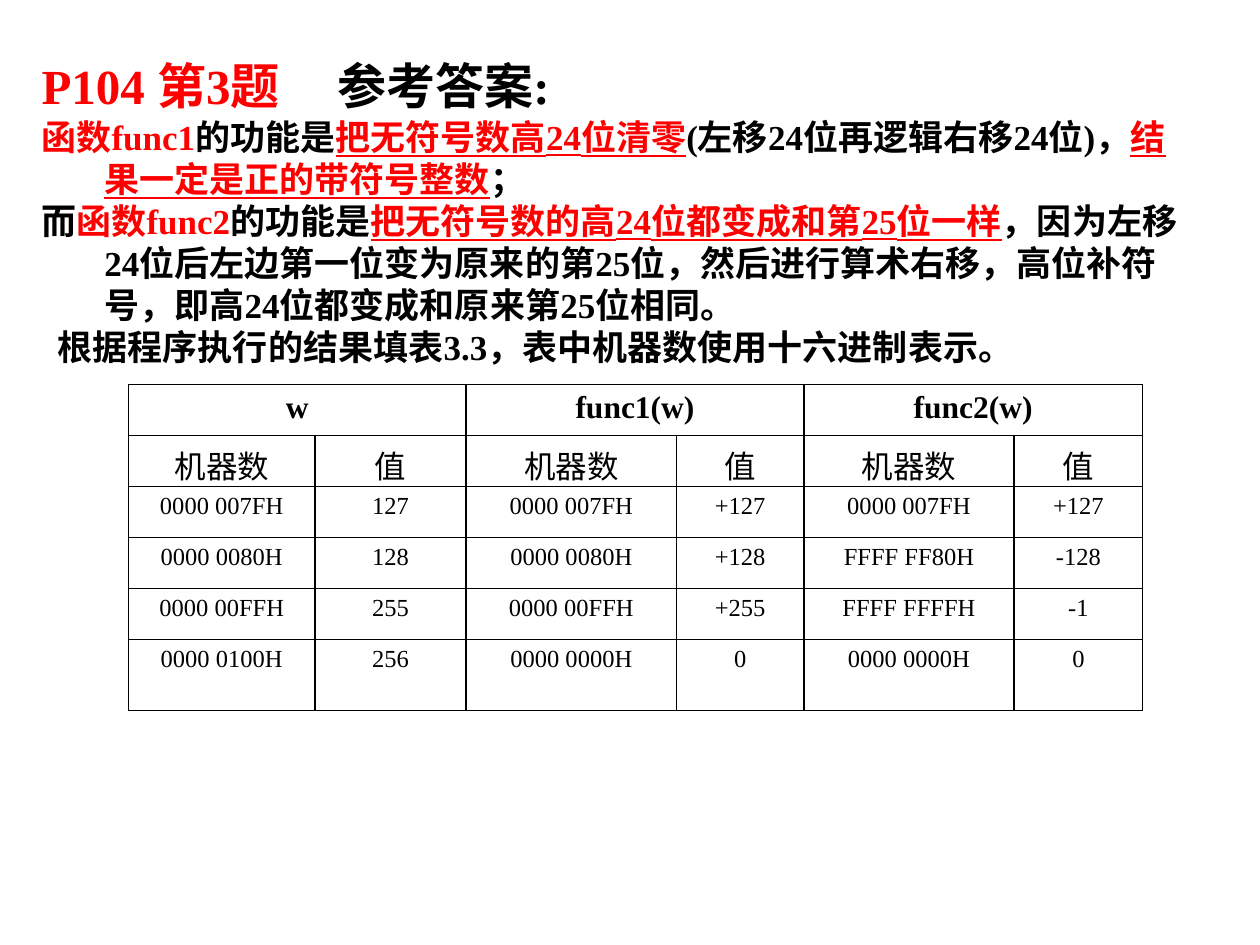
from lxml.etree import SubElement
from pptx import Presentation
from pptx.dml.color import RGBColor
from pptx.enum.text import MSO_ANCHOR, PP_ALIGN
from pptx.oxml.ns import qn
from pptx.util import Inches, Pt

FONT = "Times New Roman"
RED, BLACK = "FF0000", "000000"

# Each run is (text, colour, underlined); each paragraph adds its first-line indent.
TITLE = [("P104 第3题", RED, False), ("\t参考答案:", BLACK, False)]
EXPLANATION = [
    (-5, [("函数func1", RED, False), ("的功能是", BLACK, False),
          ("把无符号数高24位清零", RED, True),
          ("(左移24位再逻辑右移24位)，", BLACK, False),
          ("结果一定是正的带符号整数", RED, True), ("；", BLACK, False)]),
    (-5, [("而", BLACK, False), ("函数func2", RED, False), ("的功能是", BLACK, False),
          ("把无符号数的高24位都变成和第25位一样", RED, True),
          ("，因为左移24位后左边第一位变为原来的第25位，然后进行算术右移，"
           "高位补符号，即高24位都变成和原来第25位相同。", BLACK, False)]),
    (-3.7, [("根据程序执行的结果填表3.3，表中机器数使用十六进制表示。", BLACK, False)]),
]
FUNCTIONS = ["w", "func1(w)", "func2(w)"]
VALUES = [
    ["0000 007FH", "127", "0000 007FH", "+127", "0000 007FH", "+127"],
    ["0000 0080H", "128", "0000 0080H", "+128", "FFFF FF80H", "-128"],
    ["0000 00FFH", "255", "0000 00FFH", "+255", "FFFF FFFFH", "-1"],
    ["0000 0100H", "256", "0000 0000H", "0", "0000 0000H", "0"],
]


def colour(hex_string):
    return RGBColor.from_string(hex_string)


def grid(units):
    """Length of a number of grid units; the slide is 100 columns by 75 rows."""
    return Inches(units / 10)


class SlideBuilder:
    def __init__(self, presentation):
        self.slide = presentation.slides.add_slide(presentation.slide_layouts[5])

    def write_runs(self, paragraph, runs, size):
        for text, run_colour, underlined in runs:
            run = paragraph.add_run()
            run.text = text
            run.font.color.rgb = colour(run_colour)
            if underlined:
                run.font.underline = True
        paragraph.alignment = PP_ALIGN.LEFT
        paragraph.space_before = Pt(0)
        paragraph.font.name = FONT
        paragraph.font.size = Pt(size)
        paragraph.font.bold = True

    def title(self, left, top, width, height, runs, tab):
        shape = self.slide.shapes.title
        shape.left, shape.top, shape.width, shape.height = map(
            grid, (left, top, width, height))
        frame = shape.text_frame
        frame.word_wrap = True
        frame.vertical_anchor = MSO_ANCHOR.TOP
        paragraph = frame.paragraphs[0]
        tabs = SubElement(paragraph._p.get_or_add_pPr(), qn("a:tabLst"))
        SubElement(tabs, qn("a:tab"), pos=str(grid(tab)), algn="l")
        self.write_runs(paragraph, runs, 28)

    def text(self, left, top, width, height, paragraphs, margin):
        shape = self.slide.shapes.add_textbox(*map(grid, (left, top, width, height)))
        frame = shape.text_frame
        frame.word_wrap = True
        for index, (indent, runs) in enumerate(paragraphs):
            paragraph = frame.add_paragraph() if index else frame.paragraphs[0]
            properties = paragraph._p.get_or_add_pPr()
            properties.set("marL", str(grid(margin)))
            properties.set("indent", str(grid(indent)))
            self.write_runs(paragraph, runs, 20)

    def cell(self, cell, text, size, bold=False):
        cell.text = text
        cell.margin_bottom = 0
        paragraph = cell.text_frame.paragraphs[0]
        paragraph.alignment = PP_ALIGN.CENTER
        paragraph.font.name = FONT
        paragraph.font.size = Pt(size)
        paragraph.font.bold = bold
        paragraph.font.color.rgb = colour(BLACK)
        properties = cell._tc.get_or_add_tcPr()
        for side in ("lnL", "lnR", "lnT", "lnB"):
            line = SubElement(properties, qn(f"a:{side}"), w=str(Pt(1)))
            fill = SubElement(line, qn("a:solidFill"))
            SubElement(fill, qn("a:srgbClr"), val=BLACK)
        cell.fill.background()

    def table(self, left, top, columns, rows, groups, values):
        frame = self.slide.shapes.add_table(
            len(rows), len(columns), *map(grid, (left, top, sum(columns), sum(rows))))
        table = frame.table
        table.first_row = table.horz_banding = False
        for column, width in zip(table.columns, columns):
            column.width = grid(width)
        for row, height in zip(table.rows, rows):
            row.height = grid(height)
        group_row = [text for group in groups for text in (group, "")]
        heading_row = ["机器数", "值"] * len(groups)
        for row, texts in enumerate([group_row, heading_row, *values]):
            for column, text in enumerate(texts):
                self.cell(table.cell(row, column), text,
                          size=18 if row < 2 else 14, bold=row == 0)
        for column in range(0, len(columns), 2):
            table.cell(0, column).merge(table.cell(0, column + 1))


def main():
    presentation = Presentation()
    presentation.slide_width, presentation.slide_height = grid(100), grid(75)
    builder = SlideBuilder(presentation)
    builder.title(2.3, 3.9, 92.2, 4.8, TITLE, tab=23.5)
    builder.text(2.3, 8.7, 92.2, 21.1, EXPLANATION, margin=5)
    builder.table(10.2, 30.5, [14.8, 12, 16.7, 10.1, 16.7, 10.2],
                  [4.05] * 5 + [5.65], FUNCTIONS, VALUES)
    presentation.save("out.pptx")


if __name__ == "__main__":
    main()
